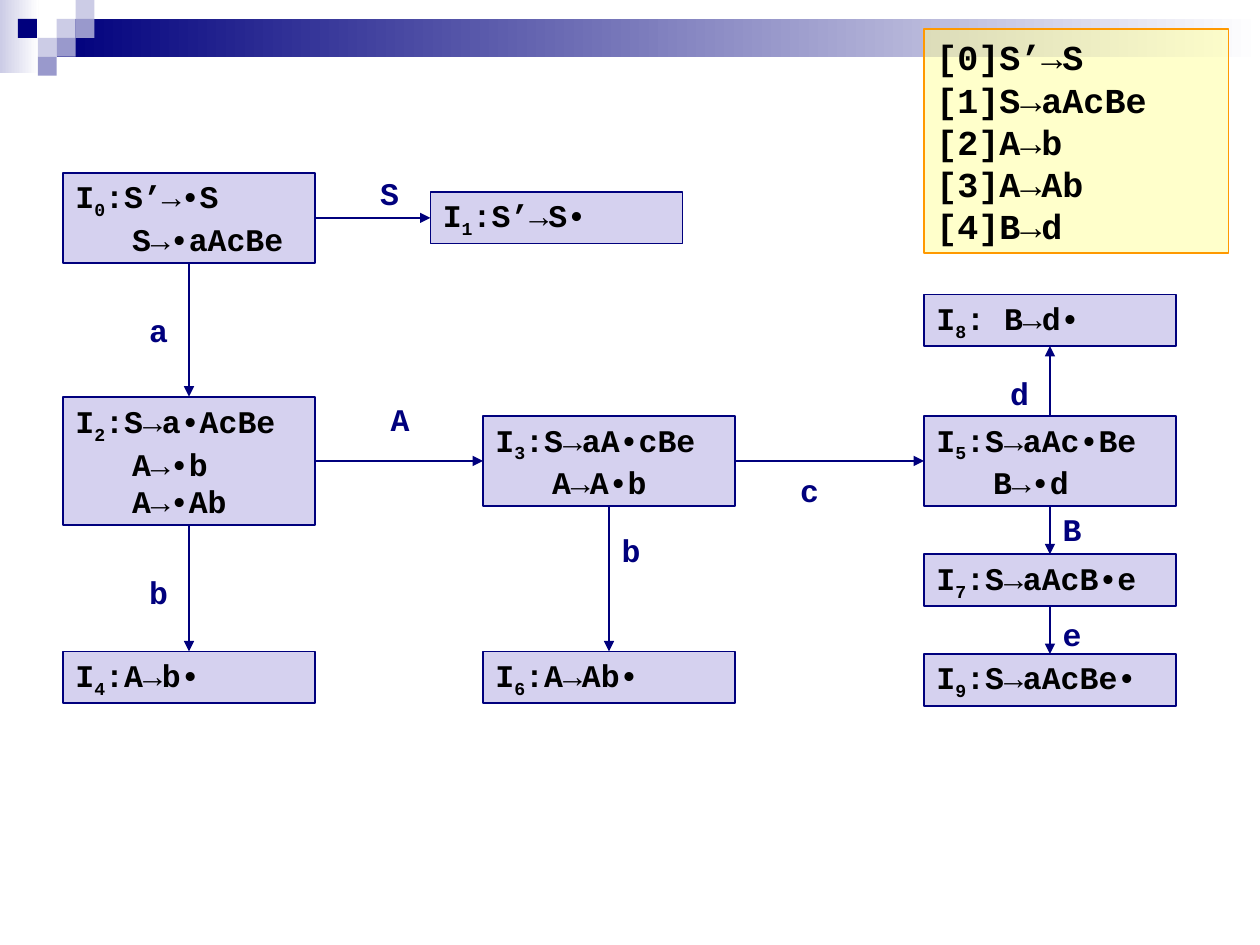
"""Draw the LR(0) item sets of a small grammar and their moves."""
from typing import NamedTuple

from pptx import Presentation
from pptx.dml.color import RGBColor
from pptx.enum.shapes import MSO_CONNECTOR, MSO_SHAPE
from pptx.enum.text import MSO_ANCHOR, MSO_AUTO_SIZE, PP_ALIGN
from pptx.oxml.ns import qn
from pptx.util import Inches, Pt
from lxml import etree

RECT = MSO_SHAPE.RECTANGLE
LINE = MSO_CONNECTOR.STRAIGHT
MIDDLE = MSO_ANCHOR.MIDDLE
GROW = MSO_AUTO_SIZE.SHAPE_TO_FIT_TEXT
CENTER = PP_ALIGN.CENTER
TOP, LEFT, BOTTOM, RIGHT = range(4)

FONT = "Courier New"
UNIT = Inches(1) / 12
TILE = Inches(0.15)
WIDE = 24
INDENT = Inches(0.45)
COLORS = {
    "navy": "00007D", "pale": "CCCCE6", "mid": "9999CC", "white": "FFFFFF",
    "state": "ADA4E0", "rules": "FFFF99", "edge": "FF9900", "ink": "000000",
}


class Tile(NamedTuple):
    col: float
    row: float
    color: str


class Band(NamedTuple):
    col: float
    row: float
    cols: float
    rows: float
    color: str


class State(NamedTuple):
    col: float
    mid: float
    items: list[str]


class Move(NamedTuple):
    start: int
    side: int
    end: int
    to: int
    label: str
    col: float
    row: float


BANDS = [Band(0, 0, 2.05, 3.85, "pale"), Band(3, 1, 63.67, 2, "navy")]
TILES = [
    Tile(3, 1, "pale"), Tile(4, 0, "pale"), Tile(4, 1, "mid"), Tile(2, 2, "pale"),
    Tile(0.95, 1, "navy"), Tile(3, 2, "mid"), Tile(2, 3, "mid"),
]
RULES = ["[0]S’→S", "[1]S→aAcBe", "[2]A→b", "[3]A→Ab", "[4]B→d"]
STATES = [
    State(6, 20.75, [":S’→•S", "S→•aAcBe"]),
    State(41, 20.75, [":S’→S•"]),
    State(6, 43.9, [":S→a•AcBe", "A→•b", "A→•Ab"]),
    State(46, 43.9, [":S→aA•cBe", "A→A•b"]),
    State(6, 64.5, [":A→b•"]),
    State(88, 43.9, [":S→aAc•Be", "B→•d"]),
    State(46, 64.5, [":A→Ab•"]),
    State(88, 55.25, [":S→aAcB•e"]),
    State(88, 30.5, [": B→d•"]),
    State(88, 64.75, [":S→aAcBe•"]),
]
MOVES = [
    Move(0, RIGHT, 1, LEFT, "S", 35, 16),
    Move(0, BOTTOM, 2, TOP, "a", 13, 29),
    Move(2, RIGHT, 3, LEFT, "A", 36, 37.5),
    Move(2, BOTTOM, 4, TOP, "b", 13, 54),
    Move(3, RIGHT, 5, LEFT, "c", 75, 44.3),
    Move(3, BOTTOM, 6, TOP, "b", 58, 50),
    Move(5, TOP, 8, BOTTOM, "d", 95, 35),
    Move(5, BOTTOM, 7, TOP, "B", 100, 48),
    Move(7, BOTTOM, 9, TOP, "e", 100, 58),
]


def tint(name: str) -> RGBColor:
    return RGBColor.from_string(COLORS[name])


def spot(unit: float, *cells: float) -> list[int]:
    return [round(unit * cell) for cell in cells]


def style(frame, size: int, color: str) -> None:
    for para in frame.paragraphs:
        for run in para.runs:
            font = run.font
            font.name, font.size, font.bold = FONT, Pt(size), True
            font.color.rgb = tint(color)


def plain(shapes, place: list[int]):
    shape = shapes.add_shape(RECT, *place)
    shape.shadow.inherit = False
    return shape


def draw_tile(shapes, tile: Tile) -> None:
    shape = plain(shapes, spot(TILE, tile.col, tile.row, 1, 1))
    shape.fill.solid()
    shape.fill.fore_color.rgb = tint(tile.color)
    shape.line.fill.background()


def draw_band(shapes, band: Band) -> None:
    shape = plain(shapes, spot(TILE, *band[:4]))
    fill = shape.fill
    fill.gradient()
    fill.gradient_angle = 0
    for stop, color, place in zip(fill.gradient_stops, (band.color, "white"), (0, 1)):
        stop.color.rgb = tint(color)
        stop.position = place
    shape.line.fill.background()


def draw_box(shapes, place: list[int], fill: str, line: str):
    box = plain(shapes, place)
    box.fill.solid()
    box.fill.fore_color.rgb = tint(fill)
    color = box.element.spPr.find(".//" + qn("a:srgbClr"))
    etree.SubElement(color, qn("a:alpha"), val="50000")
    box.line.color.rgb = tint(line)
    box.line.width = Pt(1)
    frame = box.text_frame
    frame.word_wrap, frame.vertical_anchor = True, MIDDLE
    frame.auto_size = GROW
    return box


def draw_state(shapes, index: int, state: State):
    high = 1.26 + 3.66 * len(state.items)
    place = spot(UNIT, state.col, state.mid - high / 2, WIDE, high)
    box = draw_box(shapes, place, "state", "navy")
    frame = box.text_frame
    frame.text = "\n".join(["I", *state.items[1:]])
    first, *rest = frame.paragraphs
    sub, tail = first.add_run(), first.add_run()
    sub.text, tail.text = str(index), state.items[0]
    sub.font._element.set("baseline", "-25000")
    for para in rest:
        para._p.get_or_add_pPr().set("marL", str(INDENT))
    for para in frame.paragraphs:
        para.alignment = PP_ALIGN.LEFT
    style(frame, 18, "ink")
    return box


def draw_rules(shapes) -> None:
    box = draw_box(shapes, spot(UNIT, 88, 2.75, 29, 21.36), "rules", "edge")
    frame = box.text_frame
    frame.text = "\n".join(RULES)
    for para in frame.paragraphs:
        para.alignment = PP_ALIGN.LEFT
    style(frame, 20, "ink")


def draw_move(shapes, boxes: list, move: Move) -> None:
    arrow = shapes.add_connector(LINE, 0, 0, 0, 0)
    arrow.begin_connect(boxes[move.start], move.side)
    arrow.end_connect(boxes[move.end], move.to)
    arrow.line.color.rgb = tint("navy")
    arrow.line.width = Pt(1)
    props = arrow._element.spPr
    etree.SubElement(props.find(qn("a:ln")), qn("a:tailEnd"), type="triangle")
    etree.SubElement(props, qn("a:effectLst"))
    label = shapes.add_textbox(*spot(UNIT, move.col, move.row, 4.2, 4.8))
    frame = label.text_frame
    frame.word_wrap, frame.auto_size = False, GROW
    frame.text = move.label
    frame.paragraphs[0].alignment = CENTER
    style(frame, 18, "navy")


def main() -> None:
    deck = Presentation()
    deck.slide_width, deck.slide_height = Inches(10), Inches(7.5)
    shapes = deck.slides.add_slide(deck.slide_layouts[6]).shapes
    for band in BANDS:
        draw_band(shapes, band)
    for tile in TILES:
        draw_tile(shapes, tile)
    draw_rules(shapes)
    boxes = [draw_state(shapes, index, state) for index, state in enumerate(STATES)]
    for move in MOVES:
        draw_move(shapes, boxes, move)
    deck.save("out.pptx")


if __name__ == "__main__":
    main()
